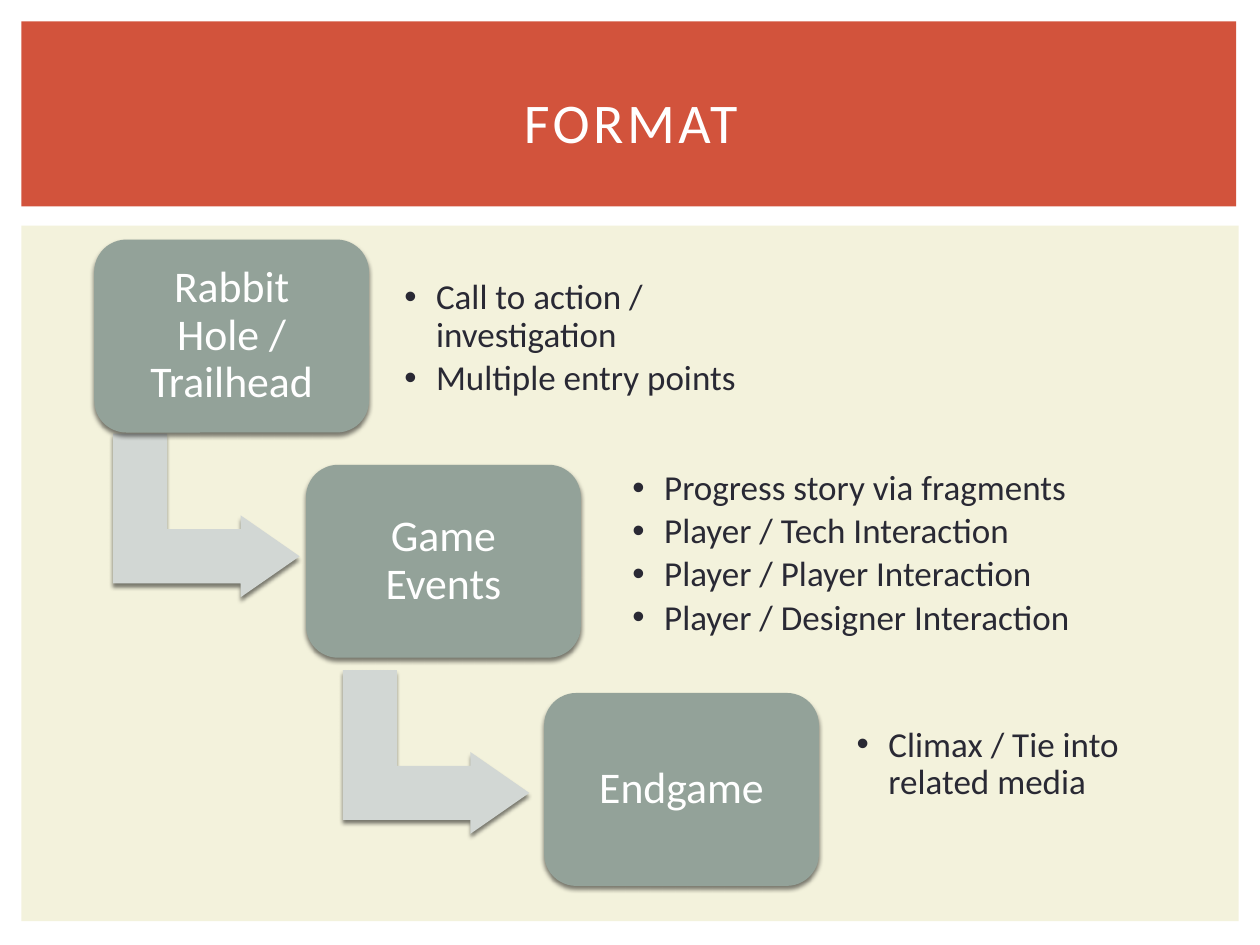
from dataclasses import dataclass

from lxml import etree
from pptx import Presentation
from pptx.dml import color
from pptx.enum import shapes, text
from pptx.oxml import ns
from pptx.util import Cm, Pt


@dataclass(frozen=True)
class Theme:
    font: str = "Calibri"
    band: str = "D2533C"
    panel: str = "F3F2DC"
    node: str = "93A299"
    arrow: str = "D2D7D4"
    light: str = "FFFFFF"
    dark: str = "292934"
    title: int = 32
    label: int = 25
    list: int = 20


@dataclass(frozen=True)
class Box:
    x: float
    y: float
    w: float
    h: float

    def place(self, shape) -> None:
        shape.left, shape.top = Cm(self.x), Cm(self.y)
        shape.width, shape.height = Cm(self.w), Cm(self.h)


@dataclass(frozen=True)
class Step:
    label: str
    node: Box
    points: tuple[str, ...]
    area: Box


THEME = Theme()
NODE = (5.54, 3.89)
BEND = (3.3, 3.76)
KIND = shapes.MSO_SHAPE

STEPS = (
    Step("Rabbit Hole / Trailhead", Box(1.9, 4.83, *NODE),
         ("Call to action / investigation", "Multiple entry points"),
         Box(7.9, 5.26, 8.38, 3.15)),
    Step("Game Events", Box(6.17, 9.37, *NODE),
         ("Progress story via fragments", "Player / Tech Interaction",
          "Player / Player Interaction", "Player / Designer Interaction"),
         Box(12.5, 8.86, 9.91, 4.62)),
    Step("Endgame", Box(10.97, 13.97, *NODE),
         ("Climax / Tie into related media",),
         Box(17.02, 13.84, 5.92, 3.15)),
)
BENDS = (Box(2.51, 8.51, *BEND), Box(7.14, 13.28, *BEND))


def child(parent, tag: str, **attrs: str):
    return etree.SubElement(parent, ns.qn(tag), attrs)


def write(shape, *lines: str, size: int, ink: str, center: bool = True,
          bullet: bool = False, track: int = 0, inset: float = 0.25,
          pitch: float = 0.9) -> None:
    frame = shape.text_frame
    frame.word_wrap = True
    frame.auto_size = text.MSO_AUTO_SIZE.NONE
    frame.vertical_anchor = text.MSO_ANCHOR.MIDDLE
    frame.margin_left = frame.margin_right = Cm(inset)
    frame.margin_top = frame.margin_bottom = Cm(inset)
    for i, line in enumerate(lines):
        para = frame.add_paragraph() if i else frame.paragraphs[0]
        para.alignment = text.PP_ALIGN.CENTER if center else text.PP_ALIGN.LEFT
        para.line_spacing = pitch
        para.space_before = Pt(0)
        para.space_after = Pt(3 if bullet else 0)
        if bullet:
            props = para._p.get_or_add_pPr()
            props.set("marL", str(Cm(0.64)))
            props.set("indent", str(-Cm(0.64)))
            child(props, "a:buFont", typeface="Arial")
            child(props, "a:buChar", char="•")
        run = para.add_run()
        run.text = line
        run.font.name = THEME.font
        run.font.size = Pt(size)
        run.font.bold = False
        run.font.color.rgb = color.RGBColor.from_string(ink)
        if track:
            run._r.get_or_add_rPr().set("spc", str(track * 100))


def draw(slide, kind: KIND, box: Box, fill: str):
    shape = slide.shapes.add_shape(kind, 0, 0, 0, 0)
    box.place(shape)
    shape.shadow.inherit = False
    shape.fill.solid()
    shape.fill.fore_color.rgb = color.RGBColor.from_string(fill)
    shape.line.fill.background()
    return shape


def shade(shape) -> None:
    glow = shape._element.spPr.find(ns.qn("a:effectLst"))
    cast = child(glow, "a:outerShdw", blurRad=str(Pt(2.5)), dist=str(Pt(2)),
                 dir="5400000", rotWithShape="0")
    tone = child(cast, "a:srgbClr", val="000000")
    child(tone, "a:alpha", val="50000")


def back(slide, box: Box, fill: str) -> None:
    shape = draw(slide, KIND.RECTANGLE, box, fill)
    slide.shapes._spTree.insert(2, shape._element)


def bend(slide, box: Box) -> None:
    shape = draw(slide, KIND.BENT_UP_ARROW, box, THEME.arrow)
    shape.rotation = 90
    for i, value in enumerate((0.33, 0.25, 0.36)):
        shape.adjustments[i] = value
    shade(shape)


def stage(slide, step: Step, body) -> None:
    node = draw(slide, KIND.ROUNDED_RECTANGLE, step.node, THEME.node)
    shade(node)
    write(node, step.label, size=THEME.label, ink=THEME.light, inset=0.3)
    step.area.place(body)
    write(body, *step.points, size=THEME.list, ink=THEME.dark,
          center=False, bullet=True)


def main() -> None:
    deck = Presentation()
    deck.slide_width, deck.slide_height = Cm(25.4), Cm(19.05)
    slide = deck.slides.add_slide(deck.slide_layouts.get_by_name("Comparison"))
    title, *bodies = slide.placeholders
    back(slide, Box(0.43, 0.43, 24.49, 3.73), THEME.band)
    back(slide, Box(0.43, 4.55, 24.54, 14.02), THEME.panel)
    Box(1.07, 0.99, 23.29, 2.92).place(title)
    write(title, "FORMAT", size=THEME.title, ink=THEME.light, track=2, pitch=1)
    for box in BENDS:
        bend(slide, box)
    for step, body in zip(STEPS, bodies):
        stage(slide, step, body)
    for spare in bodies[len(STEPS):]:
        spare._element.getparent().remove(spare._element)
    deck.save("out.pptx")


if __name__ == "__main__":
    main()
